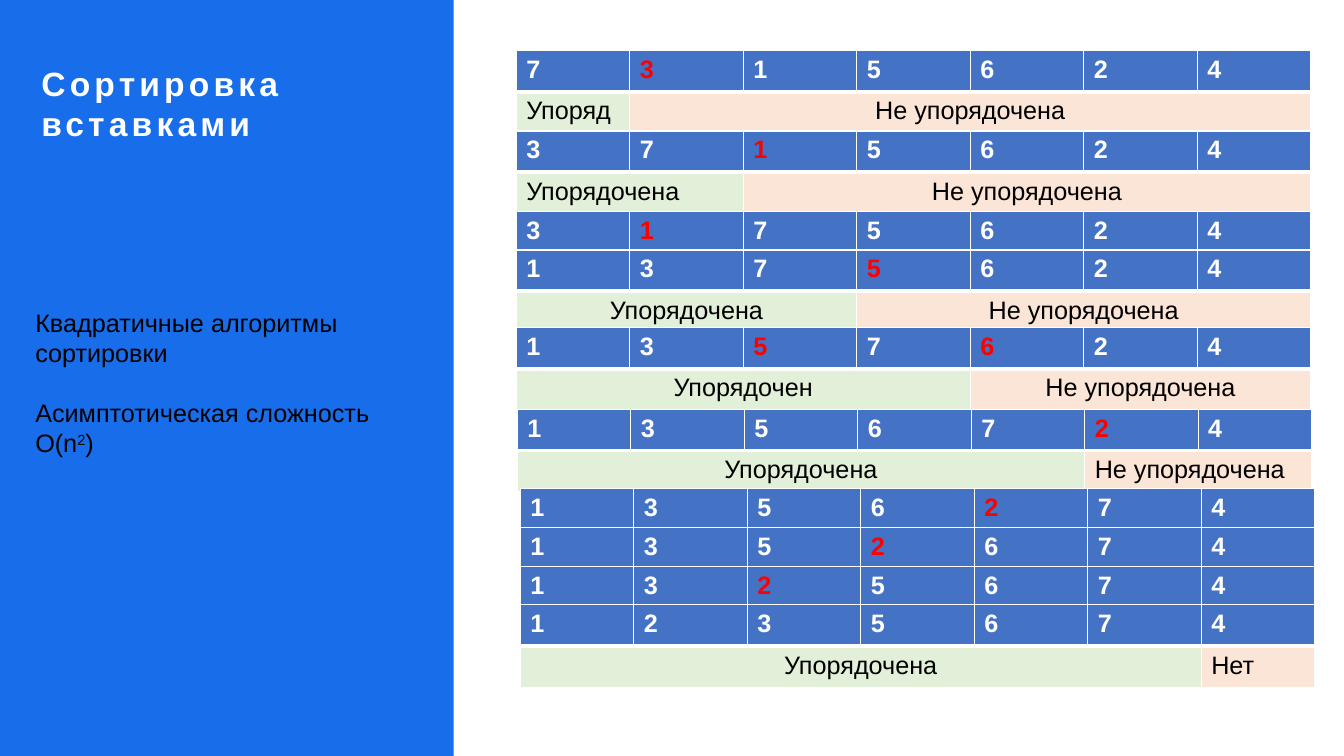
from lxml.etree import SubElement
from pptx import Presentation
from pptx.dml.color import RGBColor
from pptx.enum.shapes import MSO_SHAPE
from pptx.enum.text import MSO_ANCHOR, MSO_AUTO_SIZE, PP_ALIGN
from pptx.oxml.ns import qn
from pptx.util import Inches, Pt

BLUE = RGBColor(0x17, 0x6D, 0xEA)
CELL_BLUE = RGBColor(0x44, 0x72, 0xC4)
GREEN = RGBColor(0xE2, 0xF0, 0xD9)
PEACH = RGBColor(0xFB, 0xE5, 0xD6)
RED = RGBColor(0xFF, 0, 0)
WHITE = RGBColor(0xFF, 0xFF, 0xFF)
BLACK = RGBColor(0, 0, 0)

COLS = 7
TABLE_W, ROW_H = 7.88, 0.41
SORTED, UNSORTED = "Упорядочена", "Не упорядочена"
LEFT, CENTER = PP_ALIGN.LEFT, PP_ALIGN.CENTER

# Steps: left, top, values, red columns, labels as (text, columns, alignment)
STEPS = [
    (5.12, 0.5, "7315624", [1], [("Упоряд", 1, LEFT), (UNSORTED, 6, CENTER)]),
    (5.12, 1.3, "3715624", [2], [(SORTED, 2, LEFT), (UNSORTED, 5, CENTER)]),
    (5.12, 2.1, "3175624", [1], []),
    (5.12, 2.48, "1375624", [3], [(SORTED, 3, CENTER), (UNSORTED, 4, CENTER)]),
    (5.12, 3.25, "1357624", [2, 4], [("Упорядочен", 4, CENTER), (UNSORTED, 3, CENTER)]),
    (5.13, 4.06, "1356724", [5], [(SORTED, 5, CENTER), (UNSORTED, 2, LEFT)]),
    (5.16, 4.85, "1356274", [4], []),
    (5.16, 5.23, "1352674", [3], []),
    (5.16, 5.62, "1325674", [2], []),
    (5.16, 6, "1235674", [], [(SORTED, 6, CENTER), ("Нет", 1, LEFT)]),
]


def add_run(p, text, size, color, bold=False):
    r = p.add_run()
    r.text = text
    r.font.name = "Arial"
    r.font.size = Pt(size)
    r.font.bold = bold
    r.font.color.rgb = color
    return r


def place(sp, left, top, width, height):
    sp.left, sp.top = Inches(left), Inches(top)
    sp.width, sp.height = Inches(width), Inches(height)
    tf = sp.text_frame
    tf.word_wrap = True
    tf.auto_size = MSO_AUTO_SIZE.NONE
    tf.vertical_anchor = MSO_ANCHOR.TOP
    return tf


def add_panel(s, left, top, width, height):
    # Blue background, kept behind the placeholders
    sp = s.shapes.add_shape(MSO_SHAPE.RECTANGLE, Inches(left), Inches(top),
                            Inches(width), Inches(height))
    sp.shadow.inherit = False
    sp.fill.solid()
    sp.fill.fore_color.rgb = BLUE
    sp.line.fill.background()
    s.shapes._spTree.insert(2, sp._element)

    # Title
    tf = place(s.shapes.title, left + 0.41, top + 0.62, 4.09, 0.81)
    tf.margin_left = tf.margin_right = tf.margin_top = tf.margin_bottom = 0
    p = tf.paragraphs[0]
    p.alignment = LEFT
    r = add_run(p, "Сортировка вставками", 24, WHITE, True)
    r.font._element.set("spc", "300")

    # Notes on complexity
    tf = place(s.placeholders[1], left + 0.25, top + 3, 4.09, 1.62)
    paragraphs = [["Квадратичные алгоритмы сортировки"],
                  ["Асимптотическая сложность O(n", "2", ")"]]
    for i, texts in enumerate(paragraphs):
        p = tf.paragraphs[0] if i == 0 else tf.add_paragraph()
        p.alignment = LEFT
        p.space_before = Pt(21 * i)
        pPr = p._p.get_or_add_pPr()
        pPr.set("marL", "0")
        pPr.set("indent", "0")
        SubElement(pPr, qn("a:buNone"))
        for text in texts:
            r = add_run(p, text, 18, BLACK)
            if text == "2":
                r.font._element.set("baseline", "30000")


def format_cell(cell, fill, top, bottom):
    tcPr = cell._tc.get_or_add_tcPr()
    for side, width in (("L", 1), ("R", 1), ("T", top), ("B", bottom)):
        ln = SubElement(tcPr, qn(f"a:ln{side}"), w=str(Pt(width)))
        color = SubElement(SubElement(ln, qn("a:solidFill")), qn("a:srgbClr"))
        color.set("val", str(WHITE))
    cell.fill.solid()
    cell.fill.fore_color.rgb = fill


def add_step(s, left, top, values, red, labels):
    rows = 2 if labels else 1
    table = s.shapes.add_table(rows, COLS, Inches(left), Inches(top),
                               Inches(TABLE_W), Inches(ROW_H * rows)).table
    table.first_row = table.horz_banding = False
    for row in table.rows:
        row.height = Inches(ROW_H)

    # Array values
    for col, value in enumerate(values):
        cell = table.cell(0, col)
        format_cell(cell, CELL_BLUE, 1, 3)
        add_run(cell.text_frame.paragraphs[0], value, 18,
                RED if col in red else WHITE, True)

    # Sorted and unsorted parts
    start = 0
    for (text, span, align), fill in zip(labels, (GREEN, PEACH)):
        for col in range(start, start + span):
            format_cell(table.cell(1, col), fill, 3, 1)
        cell = table.cell(1, start)
        if span > 1:
            cell.merge(table.cell(1, start + span - 1))
        p = cell.text_frame.paragraphs[0]
        p.alignment = align
        add_run(p, text, 18, BLACK)
        start += span


prs = Presentation()
prs.slide_width, prs.slide_height = Inches(13.33), Inches(7.5)
s = prs.slides.add_slide(prs.slide_layouts[1])
add_panel(s, 0, 0, 4.5, 7.5)
for step in STEPS:
    add_step(s, *step)
prs.save("out.pptx")
